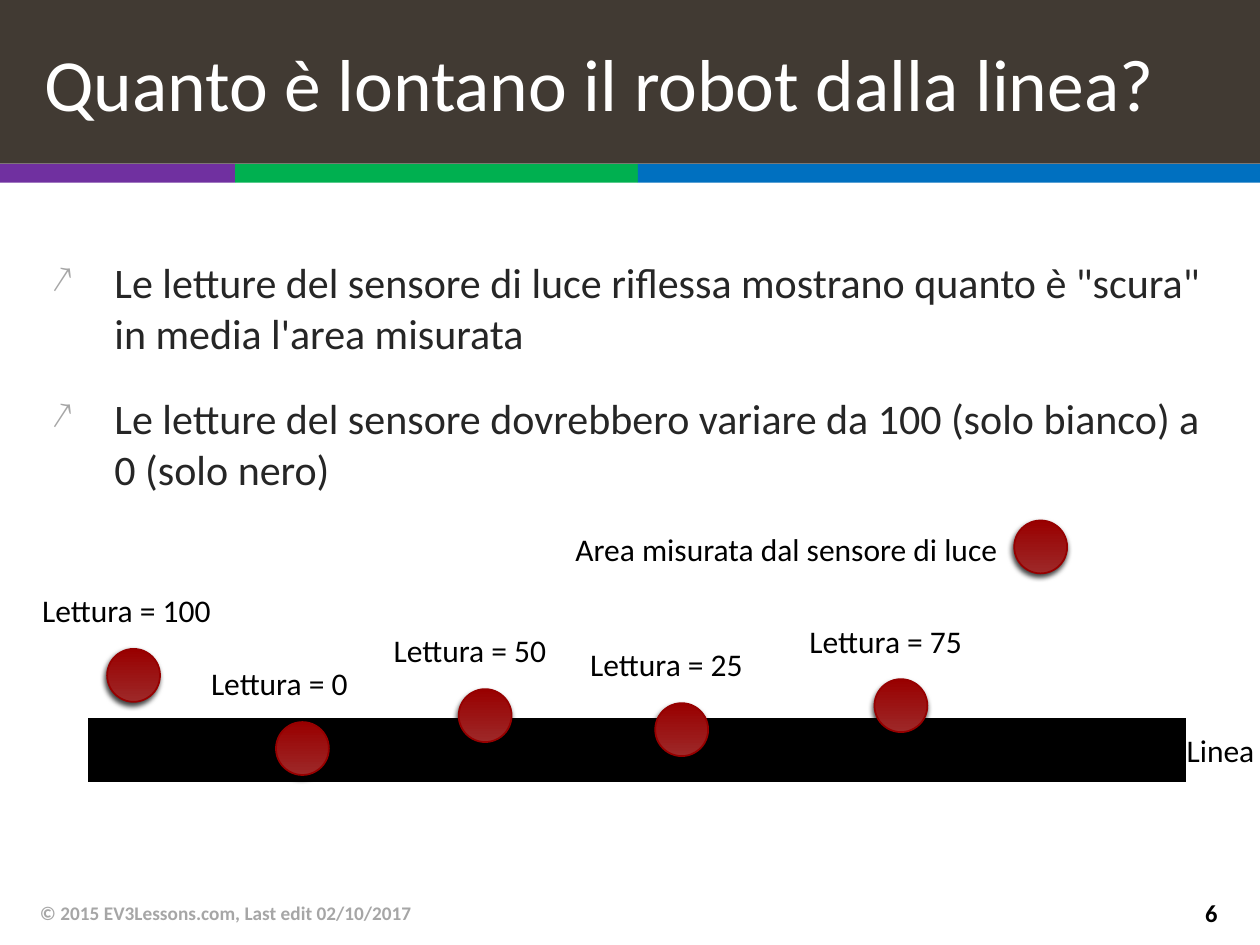
from dataclasses import dataclass

from lxml import etree
from pptx import Presentation
from pptx.dml.color import RGBColor
from pptx.enum.shapes import MSO_CONNECTOR, MSO_SHAPE
from pptx.enum.text import MSO_ANCHOR, MSO_AUTO_SIZE, PP_ALIGN
from pptx.oxml.ns import qn
from pptx.util import Pt

RECT, OVAL = MSO_SHAPE.RECTANGLE, MSO_SHAPE.OVAL
STRAIGHT = MSO_CONNECTOR.STRAIGHT
TOP, MIDDLE = MSO_ANCHOR.TOP, MSO_ANCHOR.MIDDLE
LEFT, RIGHT = PP_ALIGN.LEFT, PP_ALIGN.RIGHT
GROW = MSO_AUTO_SIZE.SHAPE_TO_FIT_TEXT


@dataclass(frozen=True)
class Theme:
    """Colours, type sizes and shared dimensions."""
    font: str = "Calibri"
    header: str = "413A33"
    white: str = "FFFFFF"
    black: str = "000000"
    body: str = "262626"
    muted: str = "A6A6A6"
    spot_light: str = "9D2828"
    spot_dark: str = "990000"
    spot_edge: str = "960000"
    bands: tuple = ("7030A0", "00B050", "0070C0")
    title_size: int = 42
    body_size: int = 24
    label_size: int = 18
    page_size: int = 14
    footer_size: int = 11
    spot: float = 30.25


T = Theme()


def rgb(value):
    """Turn a hex string into a colour."""
    return RGBColor.from_string(value)


def points(*values):
    """Turn numbers into lengths in points."""
    return [Pt(v) for v in values]


def add_element(parent, tag, **attributes):
    """Append a DrawingML element and return it."""
    return etree.SubElement(parent, qn(tag), attributes)


def style(p, size, color, bold=False, align=LEFT):
    """Set the font and alignment of a paragraph."""
    p.alignment = align
    p.font.name = T.font
    p.font.size = Pt(size)
    p.font.bold = bold
    p.font.color.rgb = rgb(color)


def add_rect(s, box, color):
    """Add a flat rectangle."""
    sp = s.shapes.add_shape(RECT, *points(*box))
    sp.shadow.inherit = False
    sp.fill.solid()
    sp.fill.fore_color.rgb = rgb(color)
    sp.line.fill.background()
    return sp


def add_text(s, box, text, size, color, bold=False, align=LEFT, anchor=MIDDLE):
    """Add a wrapped one-paragraph text box."""
    tf = s.shapes.add_textbox(*points(*box)).text_frame
    tf.word_wrap = True
    tf.vertical_anchor = anchor
    tf.text = text
    style(tf.paragraphs[0], size, color, bold, align)
    return tf


def add_label(s, x, y, width, text):
    """Add a one-line label that fits its text."""
    tf = add_text(s, (x, y, width, 29), text, T.label_size, T.black, anchor=TOP)
    tf.word_wrap = False
    tf.auto_size = GROW


def add_spot(s, x, y):
    """Add the red disc that stands for the measured area."""
    sp = s.shapes.add_shape(OVAL, *points(x, y, T.spot, T.spot))
    sp.fill.gradient()
    sp.fill.gradient_angle = 90
    for stop, color in zip(sp.fill.gradient_stops, (T.spot_light, T.spot_dark)):
        stop.color.rgb = rgb(color)
    sp.line.color.rgb = rgb(T.spot_edge)
    sp.line.width = Pt(1)
    sp.shadow.inherit = False
    effects = sp._element.spPr.find(qn("a:effectLst"))
    shadow = add_element(effects, "a:outerShdw", blurRad=str(Pt(3)), dist=str(Pt(2)),
                         dir=str(110 * 60000), algn="ctr", rotWithShape="0")
    color = add_element(shadow, "a:srgbClr", val=T.black)
    add_element(color, "a:alpha", val="75000")


def add_header(s, box, title):
    """Place the title bar with the colour bands along its foot."""
    x, y, w, h = box
    band_h = 10.8
    bar_h = h - band_h
    edges = (0, 134.4, 364.5, w)
    for left, right, color in zip(edges, edges[1:], T.bands):
        add_rect(s, (x + left, y + bar_h, right - left, band_h), color)
    tf = add_rect(s, (x, y, w, bar_h), T.header).text_frame
    tf.word_wrap = True
    tf.vertical_anchor = MIDDLE
    tf.margin_left = Pt(25.2)
    tf.text = title
    style(tf.paragraphs[0], T.title_size, T.white)


def add_bullets(s, box, items):
    """Place the arrow-bulleted statements."""
    tf = s.shapes.add_textbox(*points(*box)).text_frame
    tf.word_wrap = True
    for i, item in enumerate(items):
        p = tf.paragraphs[0] if i == 0 else tf.add_paragraph()
        p.text = item
        pPr = p._p.get_or_add_pPr()
        pPr.set("marL", str(Pt(36)))
        pPr.set("indent", str(Pt(-36)))
        add_element(add_element(pPr, "a:buClr"), "a:srgbClr", val=T.muted)
        add_element(pPr, "a:buSzPct", val="90000")
        add_element(pPr, "a:buChar", char="↗")
        if i:
            p.space_before = Pt(20)
        style(p, T.body_size, T.body)


def add_legend(s, box, text):
    """Place the key: a label with its disc at the right end."""
    x, y, w, h = box
    add_label(s, x, y + 2, 263.5, text)
    add_spot(s, x + w - T.spot, y)


def add_track(s, box, name, readings):
    """Place the black line, its name and the sensor readings around it."""
    x, y, w, h = box
    middle = y + h / 2
    line = s.shapes.add_connector(STRAIGHT, *points(x, middle, x + w, middle))
    line.line.color.rgb = rgb(T.black)
    line.line.width = Pt(h)
    add_element(line._element.spPr, "a:effectLst")
    add_label(s, x + w - 6.5, middle - 14.4, 54, name)
    for value, dx, dy, label_w in readings:
        add_spot(s, x + dx, y + dy)
        add_label(s, x + dx - 44.2, y + dy - 36.5, label_w, f"Lettura = {value}")


def add_footer(s, box, credit, page):
    """Place the copyright line and the page number."""
    x, y, w, h = box
    page_w = 50
    add_text(s, (x, y, 482, h), credit, T.footer_size, T.muted, bold=True)
    add_text(s, (x + w - page_w, y, page_w, h), page, T.page_size, T.black,
             bold=True, align=RIGHT)


def main():
    """Build the slide and save it."""
    prs = Presentation()
    prs.slide_width, prs.slide_height = points(720, 540)
    s = prs.slides.add_slide(prs.slide_layouts[6])
    add_header(s, (0, 0, 720, 104.4), "Quanto è lontano il robot dalla linea?")
    add_bullets(s, (22.3, 143.3, 675.4, 339), (
        'Le letture del sensore di luce riflessa mostrano quanto è "scura" '
        "in media l'area misurata",
        "Le letture del sensore dovrebbero variare da 100 (solo bianco) a "
        "0 (solo nero)",
    ))
    add_legend(s, (321.8, 297.4, 288, 31), "Area misurata dal sensore di luce")
    add_track(s, (50.4, 410, 627.1, 36.75), "Linea", (
        (100, 10.8, -39.2, 112.3),
        (0, 107.3, 2.6, 94.3),
        (50, 211.7, -16.2, 103),
        (25, 324, -8.2, 103),
        (75, 449.3, -21.9, 103),
    ))
    add_footer(s, (15.8, 507, 687, 28.8),
               "© 2015 EV3Lessons.com, Last edit 02/10/2017", "6")
    prs.save("out.pptx")


if __name__ == "__main__":
    main()
